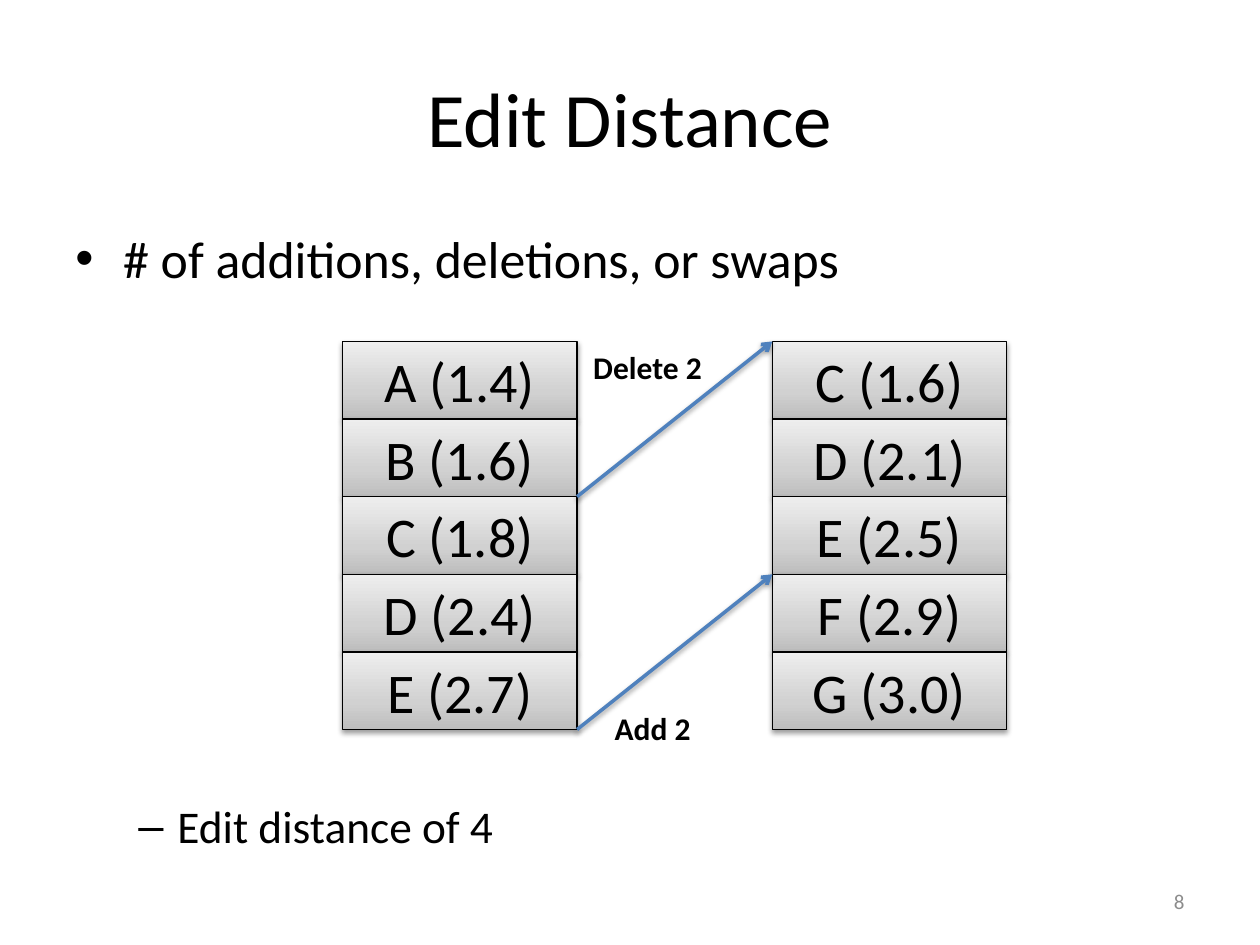
from lxml import etree
from pptx import Presentation
from pptx.dml.color import RGBColor
from pptx.enum.shapes import MSO_CONNECTOR, MSO_SHAPE
from pptx.enum.text import MSO_ANCHOR, PP_ALIGN
from pptx.oxml import parse_xml
from pptx.oxml.ns import qn
from pptx.util import Inches, Pt

LEFT, CENTER, RIGHT = PP_ALIGN.LEFT, PP_ALIGN.CENTER, PP_ALIGN.RIGHT
TOP, MIDDLE = MSO_ANCHOR.TOP, MSO_ANCHOR.MIDDLE
RECT, STRAIGHT = MSO_SHAPE.RECTANGLE, MSO_CONNECTOR.STRAIGHT
NS = 'xmlns:a="http://schemas.openxmlformats.org/drawingml/2006/main"'

# Grid of the two ranked lists
GRID_TOP, GRID_BOTTOM = 2.71, 5.79
ROW = (GRID_BOTTOM - GRID_TOP) / 5
COL_W = 1.86
LEFT_X, RIGHT_X = 2.72, 6.13


def rgb(value):
    return RGBColor.from_string(value)


def write(tf, text, size, color="000000", bold=False, align=LEFT, anchor=TOP,
          wrap=True, bullet=None, indent=0, hang=0, before=0):
    """Write text as the next paragraph of a text frame."""
    tf.word_wrap, tf.vertical_anchor = wrap, anchor
    p = tf.add_paragraph() if tf.text else tf.paragraphs[0]
    p.alignment, p.space_before = align, Pt(before)
    r = p.add_run()
    r.text = text
    r.font.name, r.font.size, r.font.bold = "Calibri", Pt(size), bold
    r.font.color.rgb = rgb(color)
    if bullet:
        pPr = p._p.get_or_add_pPr()
        pPr.set("marL", str(Inches(indent)))
        pPr.set("indent", str(-Inches(hang)))
        etree.SubElement(pPr, qn("a:buFont")).set("typeface", "Arial")
        etree.SubElement(pPr, qn("a:buChar")).set("char", bullet)


prs = Presentation()
prs.slide_width, prs.slide_height = Inches(10), Inches(7.5)
s = prs.slides.add_slide(prs.slide_layouts[6])

# Title, body and slide number
title, body, number = [
    s.shapes.add_textbox(*map(Inches, box)).text_frame
    for box in ((0.5, 0.3, 9, 1.25), (0.5, 1.75, 9, 4.95), (7.17, 6.95, 2.33, 0.4))
]
write(title, "Edit Distance", 44, align=CENTER, anchor=MIDDLE)
write(body, "# of additions, deletions, or swaps", 29.6,
      bullet="•", indent=0.38, hang=0.38)
write(body, "Edit distance of 4", 25.9,
      bullet="–", indent=0.81, hang=0.31, before=291)
write(number, "8", 12, color="8C8C8C", align=RIGHT, anchor=MIDDLE)

# Ranked lists
shadowed = []
lists = (
    (LEFT_X, ("A (1.4)", "B (1.6)", "C (1.8)", "D (2.4)", "E (2.7)")),
    (RIGHT_X, ("C (1.6)", "D (2.1)", "E (2.5)", "F (2.9)", "G (3.0)")),
)
stops = "".join(
    f'<a:gs pos="{pos}000"><a:srgbClr val="{color}"/></a:gs>'
    for pos, color in ((0, "BDBDBD"), (35, "D1D1D1"), (100, "EEEEEE")))
for x, items in lists:
    for i, item in enumerate(items):
        sp = s.shapes.add_shape(RECT, Inches(x), Inches(GRID_TOP + i * ROW),
                                Inches(COL_W), Inches(ROW))
        sp._element.spPr.append(parse_xml(
            f'<a:gradFill {NS} rotWithShape="1"><a:gsLst>{stops}</a:gsLst>'
            '<a:lin ang="16200000" scaled="0"/></a:gradFill>'))
        sp.line.color.rgb = rgb("000000")
        sp.line.width = Pt(0.75)
        write(sp.text_frame, item, 32, align=CENTER, anchor=MIDDLE)
        shadowed.append(sp)

# Edit arrows with their labels: start row, end row, label and its box
edits = (
    (2, 0, "Delete 2", (4.61, 2.71, 1.08, 0.4)),
    (5, 3, "Add 2", (4.78, 5.58, 0.81, 0.4)),
)
for start, end, label, box in edits:
    arrow = s.shapes.add_connector(
        STRAIGHT, Inches(LEFT_X + COL_W), Inches(GRID_TOP + start * ROW),
        Inches(RIGHT_X), Inches(GRID_TOP + end * ROW))
    arrow.line.color.rgb = rgb("4F81BD")
    arrow.line.width = Pt(2)
    ln = arrow.line._get_or_add_ln()
    etree.SubElement(ln, qn("a:tailEnd")).set("type", "arrow")
    shadowed.append(arrow)
    tf = s.shapes.add_textbox(*map(Inches, box)).text_frame
    write(tf, label, 18, bold=True, wrap=False)

# Soft shadow below boxes and arrows
for sp in shadowed:
    sp._element.spPr.append(parse_xml(
        f'<a:effectLst {NS}><a:outerShdw blurRad="{Pt(3.1)}" dist="{Pt(1.6)}" '
        'dir="5400000" rotWithShape="0"><a:srgbClr val="000000">'
        '<a:alpha val="38000"/></a:srgbClr></a:outerShdw></a:effectLst>'))

prs.save("out.pptx")
